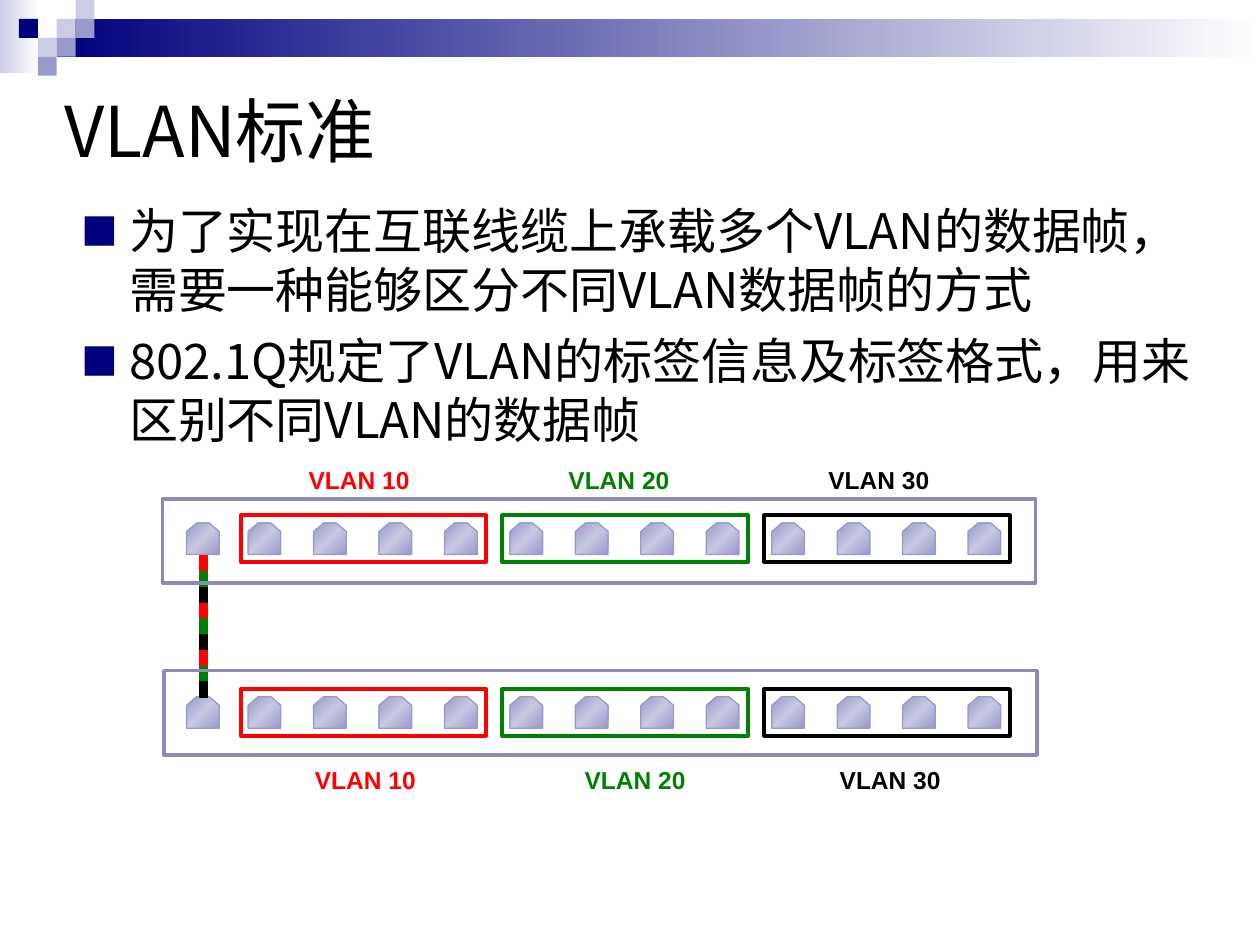
import dataclasses

import pptx
import pptx.dml.color
import pptx.enum.shapes
import pptx.enum.text
import pptx.oxml
import pptx.oxml.ns
import pptx.util

Pt = pptx.util.Pt
RECTANGLE = pptx.enum.shapes.MSO_SHAPE.RECTANGLE
A_NS = pptx.oxml.ns.nsdecls("a")


@dataclasses.dataclass(frozen=True)
class Theme:
    """Colours, fonts and type sizes of the slide."""
    navy: str = "00007D"
    violet: str = "9999CC"
    lilac: str = "CCCCE6"
    port_glow: str = "C8C8E3"
    chassis: str = "8A8AB9"
    red: str = "FF0000"
    green: str = "008000"
    black: str = "000000"
    white: str = "FFFFFF"
    main_font: str = "Noto Sans CJK SC"
    label_font: str = "Arial"
    title_size: int = 40
    body_size: int = 28
    label_size: int = 14


THEME = Theme()
VLANS = (("VLAN 10", THEME.red), ("VLAN 20", THEME.green), ("VLAN 30", THEME.black))
PORTS_PER_VLAN = 4
PORT_PITCH = 37.4
STANDARD_POINTS = (
    "为了实现在互联线缆上承载多个VLAN的数据帧，需要一种能够区分不同VLAN数据帧的方式",
    "802.1Q规定了VLAN的标签信息及标签格式，用来区别不同VLAN的数据帧",
)


def rgb(colour):
    """Turn a hex string into a colour value."""
    return pptx.dml.color.RGBColor.from_string(colour)


def points(box):
    """Turn a box of plain numbers into lengths in points."""
    return [Pt(value) for value in box]


def paint(shape, fill=None, line=None, line_width=0.75):
    """Give a shape a plain fill and outline, or none, and no shadow."""
    shape.shadow.inherit = False
    if fill:
        shape.fill.solid()
        shape.fill.fore_color.rgb = rgb(fill)
    else:
        shape.fill.background()
    if line:
        shape.line.color.rgb = rgb(line)
        shape.line.width = Pt(line_width)
    else:
        shape.line.fill.background()


def shade(shape, colours, angle):
    """Fill a shape with evenly spaced gradient colours at an angle."""
    shape.fill.gradient()
    shape.fill.gradient_angle = -angle % 360
    stops = shape._element.spPr.find(".//" + pptx.oxml.ns.qn("a:gsLst"))
    for stop in list(stops):
        stops.remove(stop)
    for index, colour in enumerate(colours):
        position = index * 100000 // (len(colours) - 1)
        stops.append(pptx.oxml.parse_xml(
            f'<a:gs {A_NS} pos="{position}"><a:srgbClr val="{colour}"/></a:gs>'))


def add_block(slide, box, **look):
    """Add a painted rectangle."""
    block = slide.shapes.add_shape(RECTANGLE, *points(box))
    paint(block, **look)
    return block


def style_font(paragraph, size, typeface, colour, bold=False):
    """Format the runs of a paragraph, East Asian text included."""
    for run in paragraph.runs:
        run.font.size = Pt(size)
        run.font.name = typeface
        run.font.bold = bold
        run.font.color.rgb = rgb(colour)
        run.font._element.find(pptx.oxml.ns.qn("a:latin")).addnext(
            pptx.oxml.parse_xml(f'<a:ea {A_NS} typeface="{typeface}"/>'))


def place(placeholder, box, anchor):
    """Move a placeholder to a box and fix its text behaviour."""
    placeholder.left, placeholder.top, placeholder.width, placeholder.height = points(box)
    placeholder.text_frame.auto_size = pptx.enum.text.MSO_AUTO_SIZE.NONE
    placeholder.text_frame.word_wrap = True
    placeholder.text_frame.vertical_anchor = anchor


def add_masthead(slide, box):
    """Draw the fading bar and the checkered corner."""
    left, top, width, height = box
    cell = height / 4
    corner = add_block(slide, (left, top, 22.3, 41.8))
    shade(corner, (THEME.lilac, THEME.white), 0)
    bar_left = left + 3 * cell
    bar = add_block(slide, (bar_left, top + cell, left + width - bar_left, 2 * cell))
    shade(bar, (THEME.navy, THEME.white), 0)
    checkers = ((3, 1, THEME.lilac), (4, 0, THEME.lilac), (4, 1, THEME.violet),
                (2, 2, THEME.lilac), (1, 1, THEME.navy), (3, 2, THEME.violet),
                (2, 3, THEME.violet))
    for column, row, colour in checkers:
        add_block(slide, (left + column * cell, top + row * cell, cell, cell), fill=colour)


def add_title(slide, box):
    """Write the slide title."""
    title = slide.shapes.title
    place(title, box, pptx.enum.text.MSO_ANCHOR.MIDDLE)
    title.text_frame.text = "VLAN标准"
    heading = title.text_frame.paragraphs[0]
    heading.alignment = pptx.enum.text.PP_ALIGN.LEFT
    style_font(heading, THEME.title_size, THEME.main_font, THEME.black)


def add_standard_points(slide, box):
    """Write the square-bulleted list."""
    body = slide.placeholders[1]
    place(body, box, pptx.enum.text.MSO_ANCHOR.TOP)
    body.text_frame.text = "\n".join(STANDARD_POINTS)
    for index, paragraph in enumerate(body.text_frame.paragraphs):
        properties = paragraph._p.get_or_add_pPr()
        properties.set("marL", str(Pt(27)))
        properties.set("indent", str(Pt(-27)))
        for bullet in (f'<a:buClr {A_NS}><a:srgbClr val="{THEME.navy}"/></a:buClr>',
                       f'<a:buSzPct {A_NS} val="75000"/>',
                       f'<a:buFont {A_NS} typeface="{THEME.main_font}"/>',
                       f'<a:buChar {A_NS} char="■"/>'):
            properties.append(pptx.oxml.parse_xml(bullet))
        paragraph.space_before = Pt(7 if index else 0)
        style_font(paragraph, THEME.body_size, THEME.main_font, THEME.black)


def add_port(slide, box):
    """Draw one socket with its two upper corners cut."""
    left, top, width, height = box
    right, bottom, cut_x, cut_y = left + width, top + height, 5.8, 5
    outline = slide.shapes.build_freeform(Pt(left + cut_x), Pt(top))
    corners = ((left, top + cut_y), (left, bottom), (right, bottom),
               (right, top + cut_y), (right - cut_x, top))
    outline.add_line_segments([points(corner) for corner in corners], close=True)
    port = outline.convert_to_shape()
    paint(port, line=THEME.violet)
    shade(port, (THEME.violet, THEME.port_glow, THEME.violet), 45)


def add_vlan_label(slide, box, name, colour):
    """Write one VLAN name centred in its box."""
    label = slide.shapes.add_textbox(*points(box))
    label.text_frame.word_wrap = True
    label.text_frame.text = name
    paragraph = label.text_frame.paragraphs[0]
    paragraph.alignment = pptx.enum.text.PP_ALIGN.CENTER
    style_font(paragraph, THEME.label_size, THEME.label_font, colour, bold=True)


def add_port_bank(slide, box, label_top, label_centres):
    """Draw the trunk port and the framed, labelled VLAN ports."""
    left, top, width, height = box
    group_pitch = PORTS_PER_VLAN * PORT_PITCH
    add_port(slide, (left - 30.9, top + 4.3, 18.7, 18))
    for group, ((name, colour), centre) in enumerate(zip(VLANS, label_centres)):
        group_left = left + group * group_pitch
        add_vlan_label(slide, (centre - 42, label_top, 84, 24.5), name, colour)
        for port in range(PORTS_PER_VLAN):
            add_port(slide, (group_left + 4.3 + port * PORT_PITCH, top + 4.3, 18.7, 18))
        add_block(slide, (group_left, top, width, height), line=colour, line_width=2.25)


def add_trunk_cable(slide, box):
    """Draw the link as segments that cycle through the VLAN colours."""
    left, top, width, height = box
    segments = 3 * len(VLANS)
    pitch = height / segments
    for index in range(segments):
        colour = VLANS[index % len(VLANS)][1]
        add_block(slide, (left, top + index * pitch, width, pitch - 0.4),
                  fill=colour, line=colour)


def main():
    """Build and save the slide."""
    deck = pptx.Presentation()
    deck.slide_width, deck.slide_height = Pt(720), Pt(540)
    slide = deck.slides.add_slide(deck.slide_layouts[1])
    add_masthead(slide, (0, 0, 720, 43.2))
    add_title(slide, (29.5, 20.2, 648, 108))
    add_standard_points(slide, (39.6, 110.9, 653, 348.5))
    add_port_bank(slide, (137.5, 294.5, 140.4, 26.6), 262.1, (205.2, 353.7, 502.2))
    add_port_bank(slide, (137.5, 393.8, 140.4, 26.6), 433.4, (208.8, 362.9, 508.7))
    add_trunk_cable(slide, (113.8, 317.7, 4.8, 81))
    for left, top in ((92.9, 285.1), (93.6, 383.3)):
        add_block(slide, (left, top, 499, 48.2), line=THEME.chassis, line_width=2)
    deck.save("out.pptx")


if __name__ == "__main__":
    main()
